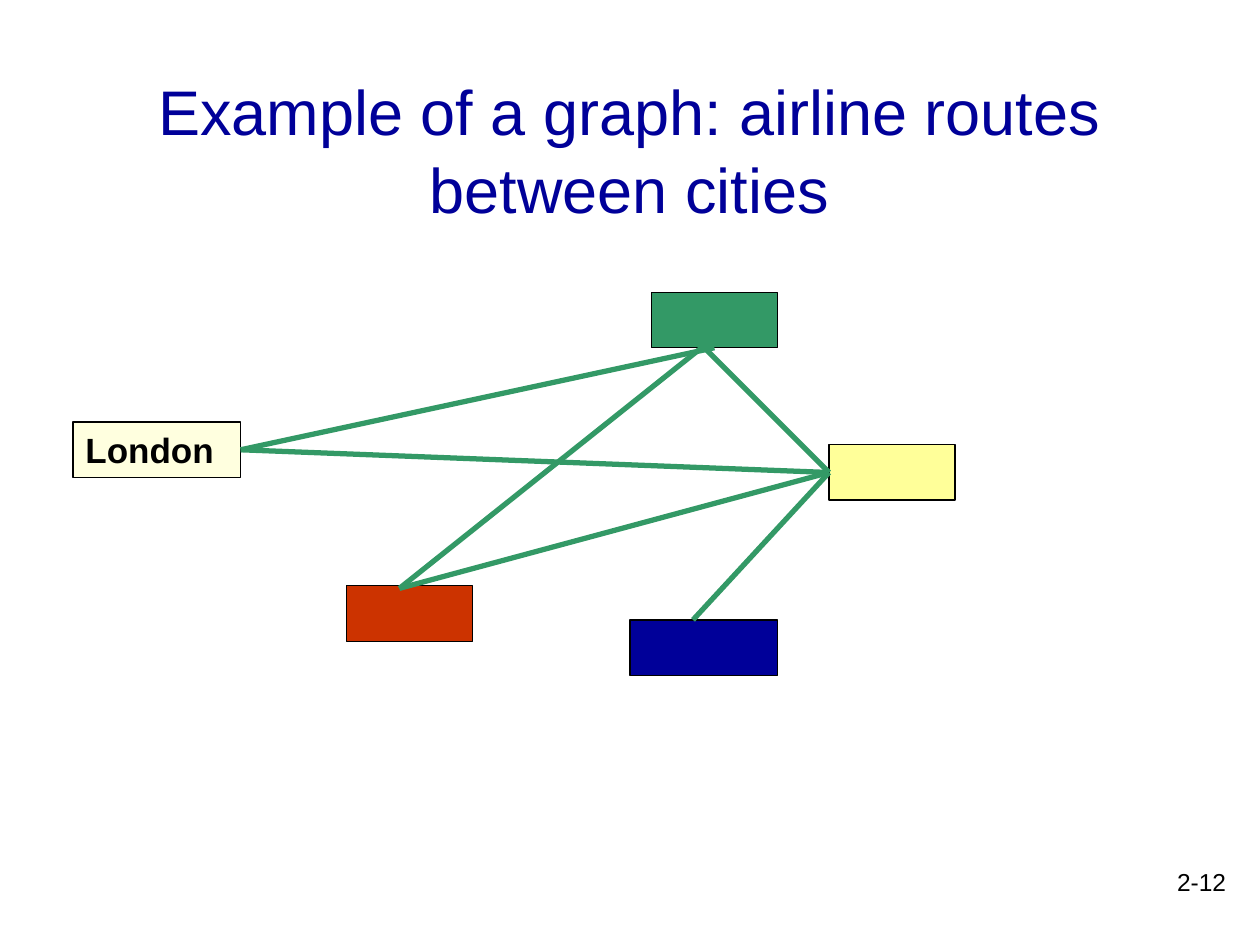
from pptx import Presentation
from pptx.dml.color import RGBColor
from pptx.enum.shapes import MSO_CONNECTOR as CONN, MSO_SHAPE as SHAPE
from pptx.enum.text import MSO_ANCHOR as ANCHOR, PP_ALIGN as ALIGN
from pptx.oxml.ns import qn
from pptx.util import Inches, Pt
from lxml.etree import SubElement

TOP, LEFT, BOTTOM, RIGHT = range(4)


def color(value):
    return RGBColor.from_string(value)


def write(tf, text, size, fill="000000", bold=False, align=ALIGN.LEFT,
          anchor=ANCHOR.TOP, spacing=1.0):
    tf.word_wrap = True
    tf.vertical_anchor = anchor
    p = tf.paragraphs[0]
    p.alignment = align
    p.line_spacing = spacing
    r = p.add_run()
    r.text = text
    r.font.name = "Arial"
    r.font.size = Pt(size)
    r.font.bold = bold
    r.font.color.rgb = color(fill)


class GraphSlide:
    ink, navy, green = "000000", "000099", "339966"

    def __init__(self, prs):
        self.s = prs.slides.add_slide(prs.slide_layouts[5])

    def title(self, text, x, y, w, h):
        sp = self.s.shapes.title
        sp.left, sp.top, sp.width, sp.height = map(Inches, (x, y, w, h))
        write(sp.text_frame, text, 36, fill=self.navy, align=ALIGN.CENTER,
              spacing=1.04)

    def label(self, text, x, y, w, h):
        sp = self.s.shapes.add_textbox(*map(Inches, (x, y, w, h)))
        write(sp.text_frame, text, 14, align=ALIGN.RIGHT)

    def city(self, x, y, fill, w=1, text=None):
        sp = self.s.shapes.add_shape(
            SHAPE.RECTANGLE, *map(Inches, (x, y, w, 0.44)))
        sp.shadow.inherit = False
        sp.fill.solid()
        sp.fill.fore_color.rgb = color(fill)
        sp.line.color.rgb = color(self.ink)
        sp.line.width = Pt(0.75)
        if text:
            write(sp.text_frame, text, 20, bold=True, anchor=ANCHOR.MIDDLE)
        return sp

    def route(self, start, end, begin_at=None, end_at=None):
        line = self.s.shapes.add_connector(
            CONN.STRAIGHT, *map(Inches, start + end))
        line.line.color.rgb = color(self.green)
        line.line.width = Pt(3)
        SubElement(line._element.spPr, qn("a:effectLst"))
        if begin_at:
            line.begin_connect(*begin_at)
        if end_at:
            line.end_connect(*end_at)


def main():
    prs = Presentation()
    prs.slide_width, prs.slide_height = Inches(10), Inches(7.5)
    g = GraphSlide(prs)

    g.label("2-12", 7.75, 6.83, 2.08, 0.5)
    london = g.city(0.58, 3.35, "FFFFDF", w=1.33, text="London")
    north = g.city(5.17, 2.32, g.green)
    east = g.city(6.58, 3.53, "FFFF99")
    g.city(2.75, 4.65, "CC3300")
    g.city(5, 4.92, g.navy, w=1.17)

    london_pt, north_pt, east_pt = (1.92, 3.58), (5.58, 2.75), (6.58, 3.75)
    west_pt, south_pt = (3.17, 4.67), (5.5, 4.92)
    london_side, east_side = (london, RIGHT), (east, LEFT)

    g.route((5.67, 2.75), london_pt, (north, BOTTOM), london_side)
    g.route(north_pt, west_pt)
    g.route(north_pt, east_pt, end_at=east_side)
    g.route(east_pt, south_pt, begin_at=east_side)
    g.route(west_pt, east_pt, end_at=east_side)
    g.title("Example of a graph: airline routes between cities",
            0.58, 0.5, 8.83, 1.3)
    g.route(east_pt, london_pt, east_side, london_side)

    prs.save("out.pptx")


if __name__ == "__main__":
    main()
